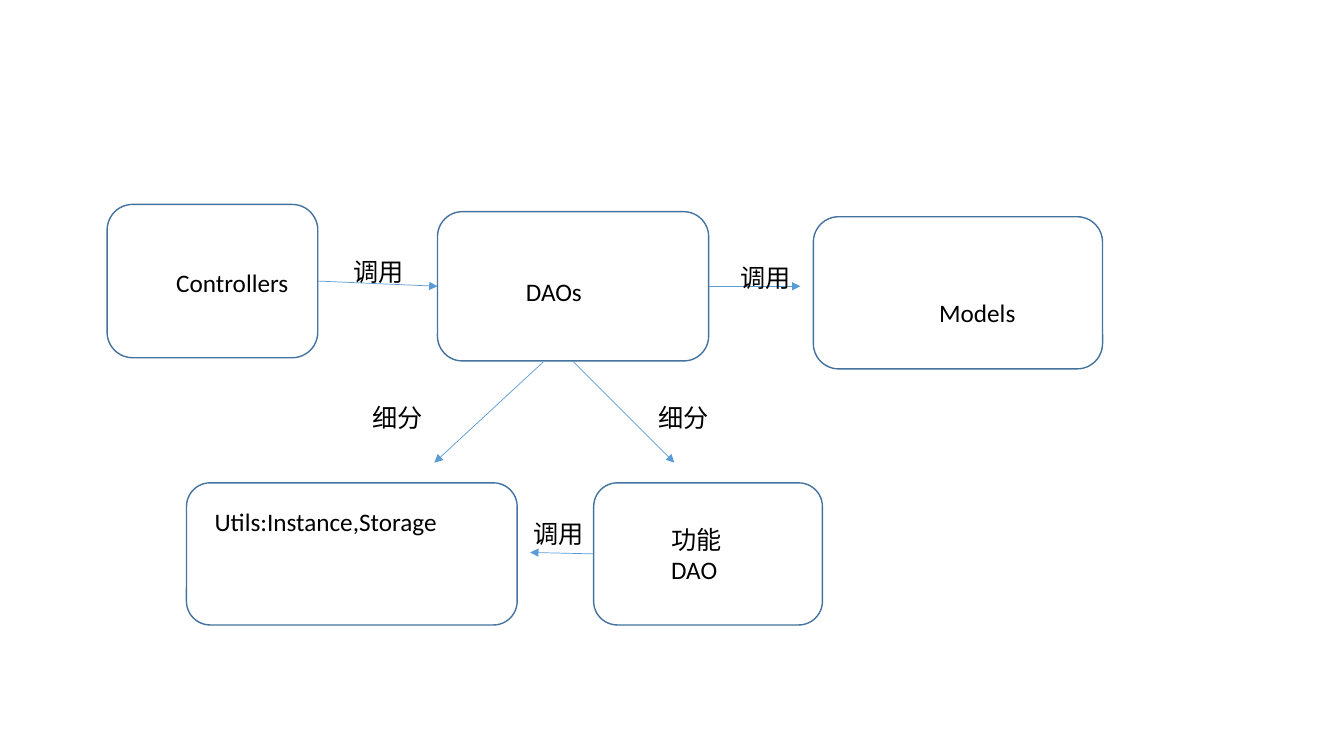
"""Build a slide showing how controllers, DAOs, models and utilities call each other."""
from lxml.etree import SubElement
from pptx import Presentation
from pptx.dml.color import RGBColor
from pptx.enum.shapes import MSO_CONNECTOR, MSO_SHAPE
from pptx.enum.text import MSO_AUTO_SIZE
from pptx.oxml.ns import qn
from pptx.util import Pt

THEME = {
    "border": RGBColor(0x43, 0x73, 0x9E),
    "arrow": RGBColor(0x5B, 0x9B, 0xD5),
    "font": {"name": "Calibri", "size": Pt(18)},
    "text": RGBColor(0, 0, 0),
    "border_width": Pt(1),
    "arrow_width": Pt(0.5),
}
LINE_HEIGHT = 29
LABEL_WIDTH = 51
LEFT_SITE, RIGHT_SITE = 1, 3

BOXES = {
    "controllers": (76.5, 146, 150.5, 109.5),
    "daos": (312.5, 151.2, 193.7, 106.6),
    "models": (581, 154.8, 206.6, 108.7),
    "utils": (133.2, 344.9, 236.2, 101.5),
    "feature": (424.1, 344.9, 163.4, 101.5),
}
NAMES = [
    ("Controllers", 118.8, 187.2, 95.8, False),
    ("DAOs", 368.6, 193.7, 54.7, False),
    ("Models", 663.8, 208.8, 69.8, False),
    ("Utils:Instance,Storage", 146.2, 357.8, 201.6, True),
    ("功能\vDAO", 472.3, 370.8, 84.2, True),
]
LABELS = [
    ("调用", 245.5, 179.3),
    ("调用", 522, 183.6),
    ("细分", 259.2, 283.7),
    ("细分", 463, 283.7),
    ("调用", 373.7, 366.5),
]
ARROWS = [
    ((227, 200.8), (312.5, 204.5), ("controllers", RIGHT_SITE), ("daos", LEFT_SITE)),
    ((506.2, 204.5), (571.7, 204.5), ("daos", RIGHT_SITE), None),
    ((409.7, 258.5), (481.7, 330.5), None, None),
    ((388.1, 258.5), (310.3, 330.5), None, None),
    ((424.1, 395.7), (378.7, 394.6), ("feature", LEFT_SITE), None),
]


def assign(target, values):
    for name, value in values.items():
        setattr(target, name, value)


def add_box(page, frame):
    box = page.shapes.add_shape(MSO_SHAPE.ROUNDED_RECTANGLE, *map(Pt, frame))
    box.shadow.inherit = False
    box.fill.background()
    box.line.color.rgb = THEME["border"]
    box.line.width = THEME["border_width"]
    return box


def add_text(page, text, left, top, width=LABEL_WIDTH, wrap=False):
    height = LINE_HEIGHT * (text.count("\v") + 1)
    box = page.shapes.add_textbox(Pt(left), Pt(top), Pt(width), Pt(height))
    assign(box.text_frame, {"word_wrap": wrap, "auto_size": MSO_AUTO_SIZE.SHAPE_TO_FIT_TEXT})
    para = box.text_frame.paragraphs[0]
    para.text = text
    for span in para.runs:
        assign(span.font, THEME["font"])
        span.font.color.rgb = THEME["text"]


def add_arrow(page, boxes, start, end, source, target):
    arrow = page.shapes.add_connector(MSO_CONNECTOR.STRAIGHT, *map(Pt, start + end))
    for link, connect in ((source, arrow.begin_connect), (target, arrow.end_connect)):
        if link:
            name, site = link
            connect(boxes[name], site)
    arrow.line.color.rgb = THEME["arrow"]
    arrow.line.width = THEME["arrow_width"]
    SubElement(arrow.line._get_or_add_ln(), qn("a:tailEnd"), type="triangle")
    SubElement(arrow._element.spPr, qn("a:effectLst"))


deck = Presentation()
assign(deck, {"slide_width": Pt(960), "slide_height": Pt(540)})
page = deck.slides.add_slide(deck.slide_layouts[6])
boxes = {name: add_box(page, frame) for name, frame in BOXES.items()}
for arrow in ARROWS:
    add_arrow(page, boxes, *arrow)
for entry in NAMES + LABELS:
    add_text(page, *entry)
deck.save("out.pptx")
